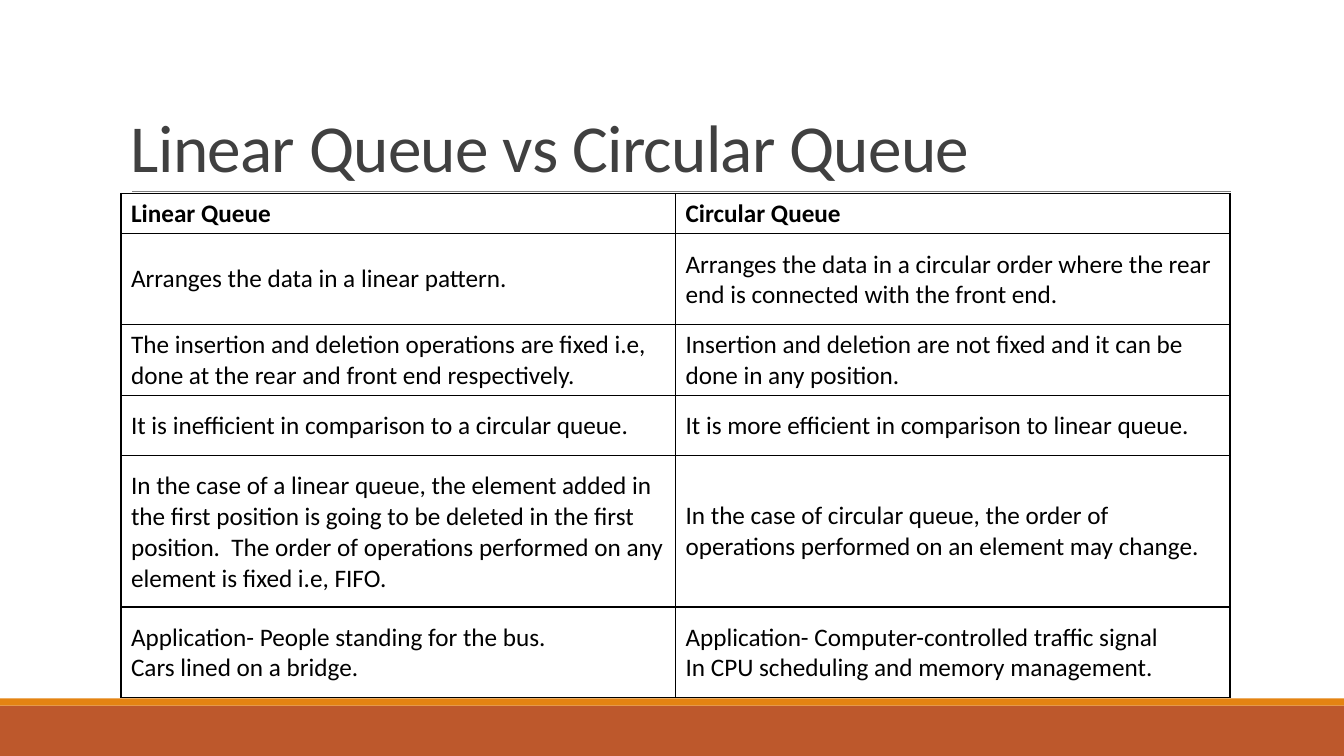
from dataclasses import dataclass

from lxml.etree import SubElement
from pptx import Presentation
from pptx.dml.color import RGBColor
from pptx.enum.shapes import MSO_CONNECTOR as Connector, MSO_SHAPE as Shape
from pptx.enum.text import MSO_ANCHOR as Anchor
from pptx.oxml.ns import qn
from pptx.util import Emu, Pt


@dataclass(frozen=True)
class Theme:
    font: str = "Calibri"
    band: str = "BD582C"
    stripe: str = "E48312"
    rule: str = "808080"
    heading: str = "404040"
    ink: str = "000000"
    heading_size: int = 48
    body_size: int = 18


def px(length):
    """One px is a hundredth of an inch."""
    return Emu(length * 9144)


class SlideBuilder:
    def __init__(self, slide, theme):
        self.slide, self.theme = slide, theme

    def style(self, paragraph, size, color, bold=False):
        for run in paragraph.runs:
            font = run.font
            font.name, font.size, font.bold = self.theme.font, Pt(size), bold
            font.color.rgb = RGBColor.from_string(color)

    def bar(self, left, top, width, height, color):
        bar = self.slide.shapes.add_shape(
            Shape.RECTANGLE, px(left), px(top), px(width), px(height))
        bar.shadow.inherit = False
        bar.fill.solid()
        bar.fill.fore_color.rgb = RGBColor.from_string(color)
        bar.line.fill.background()

    def rule(self, left, right, y):
        rule = self.slide.shapes.add_connector(
            Connector.STRAIGHT, px(left), px(y), px(right), px(y))
        rule.line.width = Pt(0.5)
        rule.line.color.rgb = RGBColor.from_string(self.theme.rule)
        SubElement(rule._element.spPr, qn("a:effectLst"))

    def heading(self, text, left, top, width, height):
        box = self.slide.shapes.add_textbox(px(left), px(top), px(width), px(height))
        frame = box.text_frame
        frame.word_wrap = True
        frame.vertical_anchor = Anchor.BOTTOM
        frame.text = text
        line = frame.paragraphs[0]
        line.line_spacing = 0.85
        self.style(line, self.theme.heading_size, self.theme.heading)
        line.runs[0].font._element.set("spc", "-50")

    def borders(self, cell):
        properties = cell._tc.get_or_add_tcPr()
        for place, side in enumerate(("lnL", "lnR", "lnT", "lnB")):
            edge = SubElement(properties, qn(f"a:{side}"), w=str(Pt(1)))
            fill = SubElement(edge, qn("a:solidFill"))
            SubElement(fill, qn("a:srgbClr"), val=self.theme.ink)
            properties.insert(place, edge)

    def comparison(self, rows, left, top, width):
        """Each row is (height, padded, texts); padded rows are centred vertically."""
        columns = len(rows[0][2])
        total = sum(height for height, _, _ in rows)
        table = self.slide.shapes.add_table(
            len(rows), columns, px(left), px(top), px(width), px(total)).table
        table.horz_banding = False
        table.first_row = False
        for r, (height, padded, texts) in enumerate(rows):
            table.rows[r].height = px(height)
            for c, text in enumerate(texts):
                cell = table.cell(r, c)
                cell.text_frame.text = text
                cell.fill.background()
                if padded:
                    cell.vertical_anchor = Anchor.MIDDLE
                    cell.margin_top = cell.margin_bottom = px(15)
                    cell.margin_left = cell.margin_right = px(10)
                for paragraph in cell.text_frame.paragraphs:
                    self.style(paragraph, self.theme.body_size, self.theme.ink, bold=r == 0)
                self.borders(cell)


QUEUE_ROWS = [
    (37, False, ("Linear Queue", "Circular Queue")),
    (82, True, (
        "Arranges the data in a linear pattern.",
        "Arranges the data in a circular order where the rear end is connected "
        "with the front end.")),
    (65, False, (
        "The insertion and deletion operations are fixed i.e, done at the rear "
        "and front end respectively.",
        "Insertion and deletion are not fixed and it can be done in any position.")),
    (55, True, (
        "It is inefficient in comparison to a circular queue.",
        "It is more efficient in comparison to linear queue.")),
    (138, True, (
        "In the case of a linear queue, the element added in the first position "
        "is going to be deleted in the first position.  The order of operations "
        "performed on any element is fixed i.e, FIFO.",
        "In the case of circular queue, the order of operations performed on an "
        "element may change.")),
    (82, True, (
        "Application- People standing for the bus.\nCars lined on a bridge.",
        "Application- Computer-controlled traffic signal\n"
        "In CPU scheduling and memory management.")),
]


def main():
    deck = Presentation()
    deck.slide_width, deck.slide_height = px(1333), px(750)
    theme = Theme()
    builder = SlideBuilder(deck.slides.add_slide(deck.slide_layouts[6]), theme)

    # Footer bands and rule under the heading
    builder.bar(0, 700, 1333, 50, theme.band)
    builder.bar(0, 693, 1333, 7, theme.stripe)
    builder.rule(131, 1221, 190)

    # Heading and comparison table
    builder.heading("Linear Queue vs Circular Queue", 120, 31, 1100, 159)
    builder.comparison(QUEUE_ROWS, 120, 192, 1100)

    deck.save("out.pptx")


if __name__ == "__main__":
    main()
